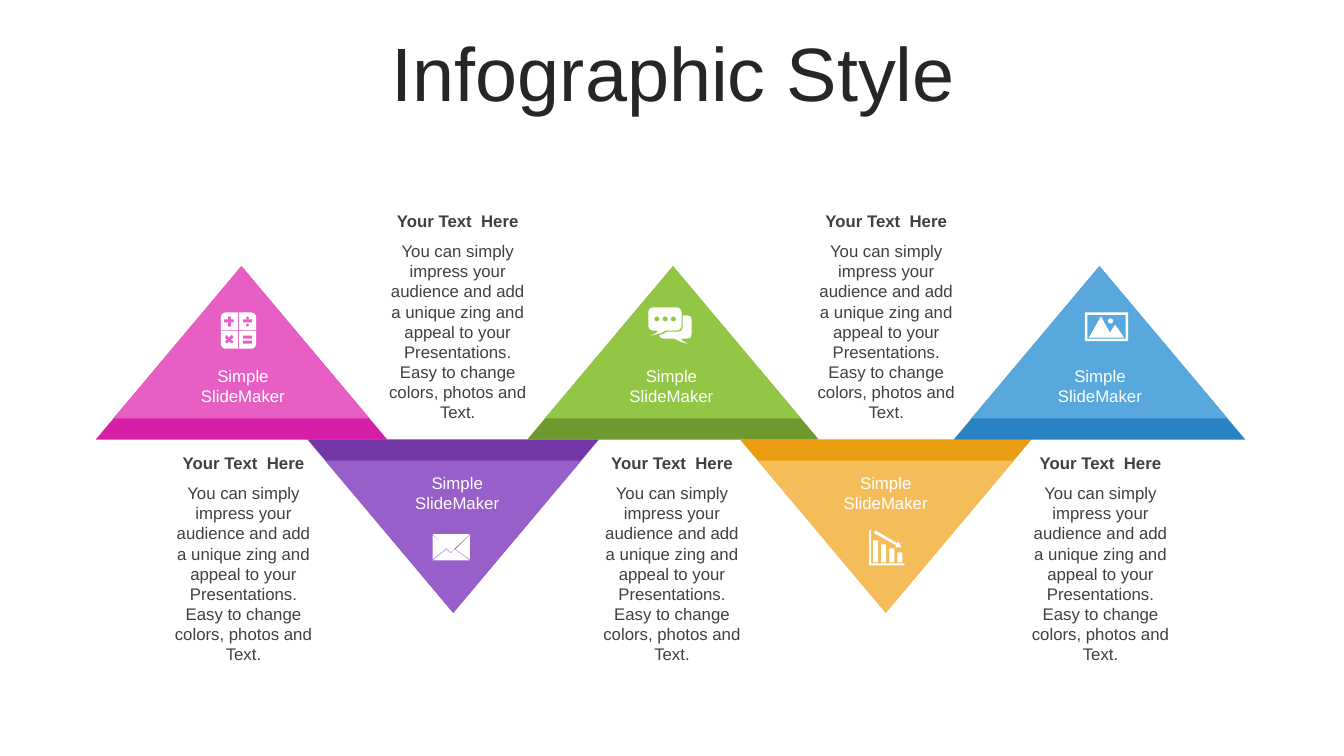
from dataclasses import dataclass
from math import cos, radians, sin
from typing import Any

from pptx import Presentation
from pptx.dml.color import RGBColor
from pptx.enum.shapes import MSO_SHAPE
from pptx.enum.text import MSO_ANCHOR, MSO_AUTO_SIZE, PP_ALIGN
from pptx.util import Emu, Inches, Pt

TRIANGLE = MSO_SHAPE.ISOSCELES_TRIANGLE
CENTER = PP_ALIGN.CENTER
MIDDLE = MSO_ANCHOR.MIDDLE
FIT_SHAPE = MSO_AUTO_SIZE.SHAPE_TO_FIT_TEXT
NO_FIT = MSO_AUTO_SIZE.NONE

WHITE = RGBColor(0xFF, 0xFF, 0xFF)
INK = RGBColor(0x26, 0x26, 0x26)
GREY = RGBColor(0x40, 0x40, 0x40)
MAGENTA, PINK = RGBColor(0xD6, 0x1F, 0xA6), RGBColor(0xE8, 0x5F, 0xC4)
PURPLE, LILAC = RGBColor(0x73, 0x37, 0xA7), RGBColor(0x98, 0x5E, 0xCA)
GREEN, LIME = RGBColor(0x6E, 0x99, 0x2F), RGBColor(0x92, 0xC6, 0x44)
ORANGE, AMBER = RGBColor(0xEA, 0x9D, 0x10), RGBColor(0xF4, 0xBD, 0x59)
BLUE, SKY = RGBColor(0x27, 0x83, 0xC1), RGBColor(0x58, 0xA8, 0xDD)

Contour = list[tuple[float, float]]

# Grid of ten columns and ten rows to the inch; icons use tenths of a cell
CELL = Inches(0.1)
ICON_UNIT = CELL / 10
STEP_PITCH = 21.25
LABEL_LEFT, CAPTION_LEFT = 17.1, 15.9
OUTER_WIDTH, OUTER_HEIGHT = 28.9, 17.2
INNER_WIDTH, INNER_HEIGHT = 25.4, 15.1
BASELINE = 43.6

HEADING = "Your Text  Here"
BODY = ("You can simply impress your audience and add a unique zing and appeal "
        "to your Presentations. Easy to change colors, photos and Text.")
LABEL = "Simple SlideMaker"

TITLE_FONT = {"name": "Arial", "size": Pt(54), "bold": False}
TEXT_FONT = {"name": "Arial", "size": Pt(12), "bold": False}
HEADING_FONT = TEXT_FONT | {"bold": True}
BOX_FORMAT = {"word_wrap": True, "auto_size": FIT_SHAPE}
TITLE_FRAME = {"word_wrap": True, "auto_size": NO_FIT, "vertical_anchor": MIDDLE}


@dataclass(frozen=True)
class Icon:
    left: float
    top: float
    contours: list[Contour]


@dataclass(frozen=True)
class Step:
    left: float
    points_up: bool
    dark: RGBColor
    light: RGBColor
    icon: Icon


# Icon outlines
def rounded(left: float, top: float, right: float, bottom: float,
            radii: tuple[float, float, float, float] = (0, 0, 0, 0)) -> Contour:
    """Box with corner radii given clockwise from the top left."""
    corners = ((left, top, 1, 1), (right, top, -1, 1),
               (right, bottom, -1, -1), (left, bottom, 1, -1))
    points = []
    for turn, ((x, y, inward_x, inward_y), radius) in enumerate(zip(corners, radii)):
        for angle in range(0, 91, 15) if radius else (0,):
            direction = radians(180 + 90 * turn + angle)
            points.append((x + radius * (inward_x + cos(direction)),
                           y + radius * (inward_y + sin(direction))))
    return points


def dot(x: float, y: float, radius: float) -> Contour:
    return rounded(x - radius, y - radius, x + radius, y + radius, (radius,) * 4)


CALCULATOR = Icon(21.9, 31, [
    rounded(0, 0, 17, 17.5, (5, 0, 0, 0)),
    rounded(18, 0, 35, 17.5, (0, 5, 0, 0)),
    rounded(18, 18.2, 35, 36, (0, 0, 5, 0)),
    rounded(0, 18.2, 17, 36, (0, 0, 0, 5)),
    [(7, 4), (10, 4), (10, 7), (13, 7), (13, 10), (10, 10),
     (10, 14), (7, 14), (7, 10), (3, 10), (3, 7), (7, 7)],
    [(6, 22), (8, 25), (11, 22), (13, 25), (10, 27), (13, 29),
     (11, 31), (8, 29), (6, 31), (4, 29), (6, 27), (4, 25)],
    rounded(22, 7, 31, 10), dot(26.5, 5.5, 1.5), dot(26.5, 12.5, 1.5),
    rounded(22, 23, 31, 26), rounded(22, 28, 31, 31),
])
ENVELOPE = Icon(42.9, 53, [
    [(22, 15), (37, 26), (0, 26), (14, 15), (18, 19)],
    [(37, 1), (37, 25), (23, 15)],
    [(0, 1), (14, 14), (0, 25)],
    [(0, 0), (37, 0), (18, 18)],
])
CHAT = Icon(64.3, 30.5, [
    rounded(0, 0, 33, 23, (5, 5, 5, 5)),
    [(10, 23), (17, 23), (12, 26), (2, 28), (7, 26)],
    *(dot(8.5 + 8.25 * n, 11.5, 2.5) for n in range(3)),
    [(34, 8), (39, 8), (42, 9), (43, 12), (43, 26), (42, 30), (39, 31),
     (33, 31), (34, 33), (39, 36), (32, 34), (26, 31), (15, 31), (12, 30),
     (11, 28), (19, 24), (30, 24), (33, 23), (34, 20)],
])
FALLING_BARS = Icon(86.2, 52.6, [
    [(0, 0), (2, 0), (2, 33), (35, 33), (35, 35), (0, 35)],
    *(rounded(4 + 8 * n, 10 + 4 * n, 9 + 8 * n, 32) for n in range(4)),
    [(6, 0), (28, 13), (29, 11), (32, 17), (26, 17), (27, 15), (5, 3)],
])
LANDSCAPE = Icon(107.6, 31, [
    rounded(0, 0, 43, 28.5), rounded(2.5, 2.5, 40.5, 26),
    [(16, 4), (25, 20), (30, 12), (39, 25), (4, 25)],
    dot(25.5, 8.5, 2.5),
])

STEPS = [
    Step(9.5, True, MAGENTA, PINK, CALCULATOR),
    Step(30.5, False, PURPLE, LILAC, ENVELOPE),
    Step(52.3, True, GREEN, LIME, CHAT),
    Step(73.4, False, ORANGE, AMBER, FALLING_BARS),
    Step(94.6, True, BLUE, SKY, LANDSCAPE),
]


# Drawing functions
def cells(count: float) -> Emu:
    return Emu(round(count * CELL))


def apply(target: Any, values: dict[str, Any]) -> None:
    for attribute, value in values.items():
        setattr(target, attribute, value)


def paint(shape: Any, color: RGBColor) -> None:
    shape.shadow.inherit = False
    shape.fill.solid()
    shape.fill.fore_color.rgb = color
    shape.line.fill.background()


def write(shape: Any, text: str, color: RGBColor, font: dict[str, Any],
          frame: dict[str, Any]) -> None:
    apply(shape.text_frame, frame)
    paragraph = shape.text_frame.paragraphs[0]
    paragraph.alignment = CENTER
    run = paragraph.add_run()
    run.text = text
    apply(run.font, font)
    run.font.color.rgb = color


def add_text(slide: Any, left: float, top: float, width: float, height: float,
             text: str, color: RGBColor, font: dict[str, Any]) -> None:
    box = slide.shapes.add_textbox(*map(cells, (left, top, width, height)))
    write(box, text, color, font, BOX_FORMAT)


def add_triangle(slide: Any, left: float, top: float, width: float,
                 height: float, points_up: bool, color: RGBColor) -> None:
    triangle = slide.shapes.add_shape(TRIANGLE, *map(cells, (left, top, width, height)))
    triangle.rotation = 0 if points_up else 180
    paint(triangle, color)


def add_icon(slide: Any, icon: Icon) -> None:
    outlines = [[(x * ICON_UNIT, y * ICON_UNIT) for x, y in contour]
                for contour in icon.contours]
    builder = slide.shapes.build_freeform(*outlines[0][0], scale=1.0)
    for outline in outlines:
        builder.move_to(*outline[0])
        builder.add_line_segments(outline[1:], close=True)
    paint(builder.convert_to_shape(cells(icon.left), cells(icon.top)), WHITE)


def add_step(slide: Any, index: int, step: Step) -> None:
    up = step.points_up
    outer_top = BASELINE - OUTER_HEIGHT if up else BASELINE
    inner_top = outer_top if up else BASELINE + OUTER_HEIGHT - INNER_HEIGHT
    inner_left = step.left + (OUTER_WIDTH - INNER_WIDTH) / 2
    add_triangle(slide, step.left, outer_top, OUTER_WIDTH, OUTER_HEIGHT, up, step.dark)
    add_triangle(slide, inner_left, inner_top, INNER_WIDTH, INNER_HEIGHT, up, step.light)
    add_icon(slide, step.icon)

    shift = index * STEP_PITCH
    add_text(slide, LABEL_LEFT + shift, 35.8 if up else 46.4, 14, 5,
             LABEL, WHITE, TEXT_FONT)
    caption_left, caption_top = CAPTION_LEFT + shift, 44.4 if up else 20.4
    add_text(slide, caption_left, caption_top, 16.5, 3, HEADING, GREY, HEADING_FONT)
    add_text(slide, caption_left, caption_top + 3, 16.5, 19.2, BODY, GREY, TEXT_FONT)


def main() -> None:
    deck = Presentation()
    apply(deck, {"slide_width": Inches(13.33), "slide_height": Inches(7.5)})
    slide = deck.slides.add_slide(deck.slide_layouts[5])

    # Title
    title = slide.shapes.title
    apply(title, {"left": cells(3.5), "top": cells(3.7),
                  "width": cells(126.6), "height": cells(7.9)})
    write(title, "Infographic Style", INK, TITLE_FONT, TITLE_FRAME)
    title.text_frame.paragraphs[0].line_spacing = 0.9

    # Zigzag of triangles with captions
    for index, step in enumerate(STEPS):
        add_step(slide, index, step)

    deck.save("out.pptx")


if __name__ == "__main__":
    main()
